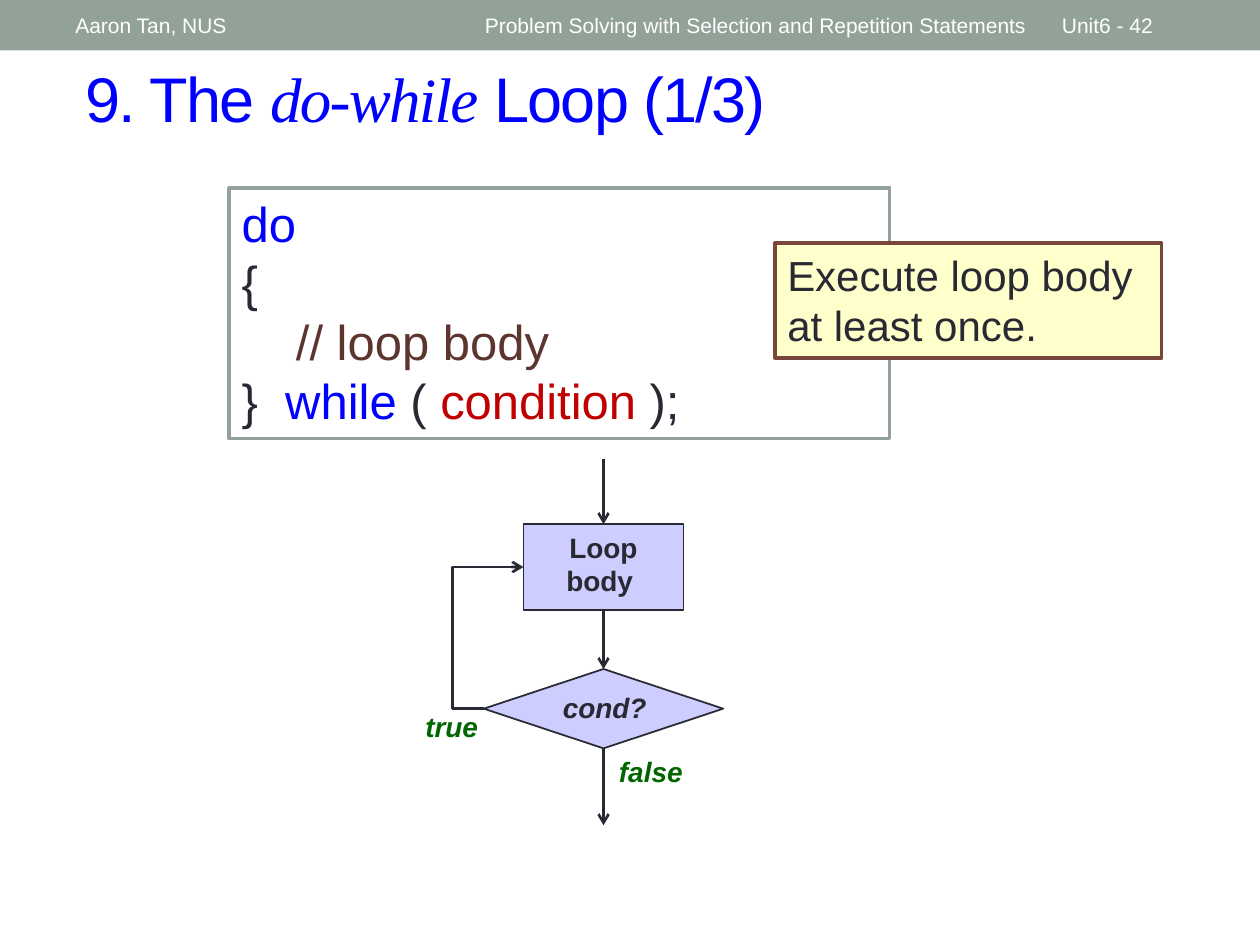
from dataclasses import dataclass

from lxml.etree import SubElement
from pptx import Presentation
from pptx.dml.color import RGBColor
from pptx.enum.shapes import MSO_CONNECTOR, MSO_SHAPE
from pptx.enum.text import MSO_ANCHOR, MSO_AUTO_SIZE, PP_ALIGN
from pptx.oxml.ns import qn
from pptx.util import Inches, Pt

WIDE, HIGH = Inches(10), Inches(7.5)
INK, BLUE, GREEN, SAGE = "292934", "0000FF", "006600", "93A299"
BROWN, RED, LILAC, WHITE = "5B352E", "C00000", "CDCDFF", "FFFFFF"
AXIS = 47.9  # centre line of the flow chart


def across(share: float) -> int:
    return round(WIDE * share / 100)


def down(share: float) -> int:
    return round(HIGH * share / 100)


def tint(code: str) -> RGBColor:
    return RGBColor.from_string(code)


@dataclass
class Area:
    """A box in percent of the slide's width and height."""
    left: float
    top: float
    width: float
    height: float

    def spot(self) -> tuple:
        return (across(self.left), down(self.top),
                across(self.width), down(self.height))


@dataclass
class Style:
    size: float
    color: str = INK
    bold: bool = False
    italic: bool = False
    align: PP_ALIGN = PP_ALIGN.LEFT
    anchor: MSO_ANCHOR = MSO_ANCHOR.TOP


def write(shape, lines: list, style: Style) -> None:
    """Each line is a string or a list of (text, colour) pairs."""
    frame = shape.text_frame
    frame.word_wrap = True
    frame.vertical_anchor = style.anchor
    for i, line in enumerate(lines):
        para = frame.add_paragraph() if i else frame.paragraphs[0]
        para.alignment = style.align
        font = para.font
        font.name, font.size = "Arial", Pt(style.size)
        font.bold, font.italic = style.bold, style.italic
        font.color.rgb = tint(style.color)
        parts = [(line, None)] if isinstance(line, str) else line
        for text, color in parts:
            run = para.add_run()
            run.text = text
            if color:
                run.font.color.rgb = tint(color)


def label(slide, area: Area, text: str, style: Style) -> None:
    write(slide.shapes.add_textbox(*area.spot()), [text], style)


def block(slide, kind: MSO_SHAPE, area: Area, fill: str,
          edge: str = "", weight: float = 1):
    shape = slide.shapes.add_shape(kind, *area.spot())
    shape.shadow.inherit = False
    shape.fill.solid()
    shape.fill.fore_color.rgb = tint(fill)
    if edge:
        shape.line.color.rgb = tint(edge)
        shape.line.width = Pt(weight)
    else:
        shape.line.fill.background()
    return shape


def link(slide, kind: MSO_CONNECTOR, start: tuple, end: tuple, tip: str):
    """Draw an arrow; tip is headEnd (start) or tailEnd (end)."""
    wire = slide.shapes.add_connector(
        kind, across(start[0]), down(start[1]), across(end[0]), down(end[1]))
    wire.line.color.rgb = tint(INK)
    wire.line.width = Pt(1.5)
    SubElement(wire.line._get_or_add_ln(), qn("a:" + tip), type="arrow")
    SubElement(wire._element.spPr, qn("a:effectLst"))
    return wire


def header(slide) -> None:
    block(slide, MSO_SHAPE.RECTANGLE, Area(0, 0, 100, 5.33), SAGE)
    style = Style(12, WHITE, anchor=MSO_ANCHOR.MIDDLE)
    for left, width, text in (
            (5, 31.7, "Aaron Tan, NUS"),
            (37.5, 45, "Problem Solving with Selection and Repetition Statements"),
            (83.3, 11.7, "Unit6 - 42")):
        label(slide, Area(left, 0.27, width, 4.8), text, style)


def heading(slide) -> None:
    title = slide.shapes.title
    title.left, title.top, title.width, title.height = Area(
        5.8, 5.6, 91.7, 12.27).spot()
    title.text_frame.auto_size = MSO_AUTO_SIZE.NONE
    parts = [(text, None) for text in ("9. The ", "do-while", " Loop (1/3)")]
    write(title, [parts], Style(36, BLUE))
    runs = title.text_frame.paragraphs[0].runs
    for run in runs:
        run._r.get_or_add_rPr().set("spc", "-100")
    runs[1].font.name, runs[1].font.italic = "Times New Roman", True


def syntax(slide) -> None:
    code = block(slide, MSO_SHAPE.RECTANGLE,
                 Area(18.2, 19.87, 52.4, 26.53), WHITE, SAGE, 2.08)
    write(code, [
        [("do", BLUE)],
        "{",
        [("    // loop body", BROWN)],
        [("}  ", INK), ("while", BLUE), (" ( ", INK),
         ("condition ", RED), (");", INK)],
    ], Style(28))
    note = block(slide, MSO_SHAPE.RECTANGLE,
                 Area(61.5, 25.73, 30.7, 12.13), "FFFFCC", "79463D", 2.08)
    write(note, ["Execute loop body at least once."], Style(24))


def flow(slide) -> None:
    mid = PP_ALIGN.CENTER
    test = block(slide, MSO_SHAPE.FLOWCHART_DECISION,
                 Area(AXIS - 9.5, 70.8, 19, 8.4), LILAC, INK)
    body = block(slide, MSO_SHAPE.FLOWCHART_PROCESS,
                 Area(AXIS - 6.35, 55.47, 12.7, 9.07), LILAC, INK)
    write(body, ["Loop", "body "], Style(16, bold=True, align=mid))
    for left, top, width, text, color in (
            (42, 72.4, 12, "cond?", INK),
            (31.1, 74.4, 9.5, "true", GREEN),
            (47.4, 79.2, 8.5, "false", GREEN)):
        label(slide, Area(left, top, width, 4.93), text,
              Style(16, color, True, True, mid))

    for top, low, source, target in (
            (48.53, 55.47, None, body),
            (64.54, 70.8, body, test),
            (79.2, 87.33, test, None)):
        wire = link(slide, MSO_CONNECTOR.STRAIGHT,
                    (AXIS, top), (AXIS, low), "tailEnd")
        if source:
            wire.begin_connect(source, 2)
        if target:
            wire.end_connect(target, 0)

    back = link(slide, MSO_CONNECTOR.ELBOW,
                (AXIS - 6.35, 60), (AXIS - 9.5, 75), "headEnd")
    back.begin_connect(body, 1)
    back.end_connect(test, 1)
    bends = back._element.spPr.find(qn("a:prstGeom")).get_or_add_avLst()
    SubElement(bends, qn("a:gd"), name="adj1", fmla="val 179300")


def main() -> None:
    deck = Presentation()
    deck.slide_width, deck.slide_height = WIDE, HIGH
    slide = deck.slides.add_slide(deck.slide_layouts[5])
    for draw in (header, heading, syntax, flow):
        draw(slide)
    deck.save("out.pptx")


if __name__ == "__main__":
    main()
